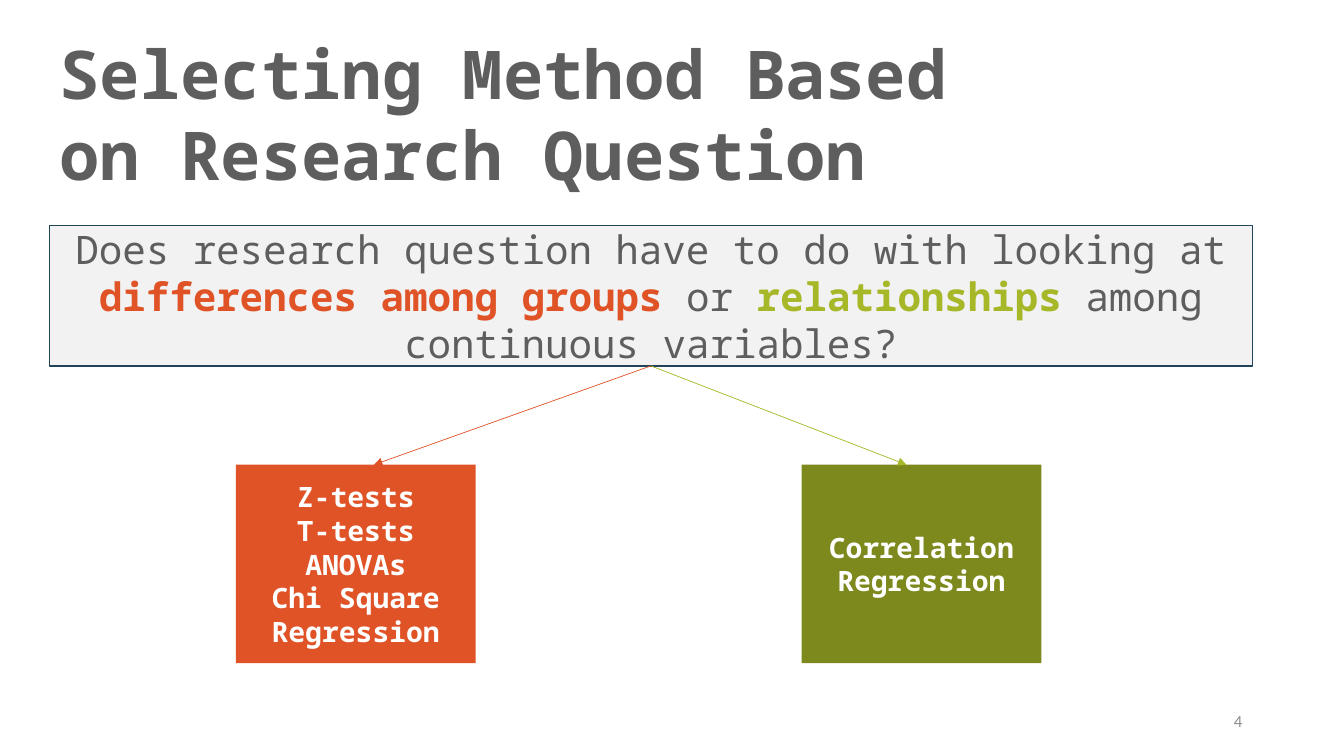
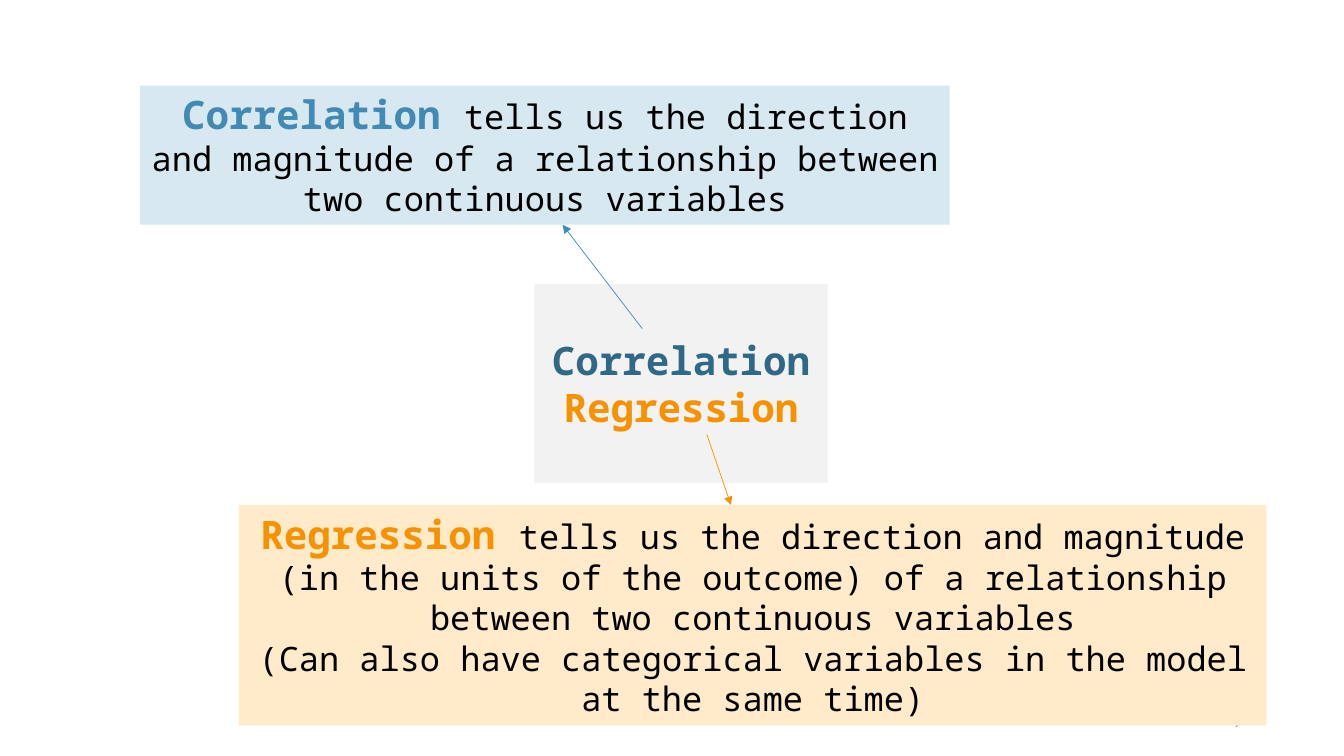
from dataclasses import dataclass
from lxml.etree import SubElement
from pptx import Presentation
from pptx.dml.color import RGBColor as Rgb
from pptx.enum.shapes import MSO_CONNECTOR as Line, MSO_SHAPE as Shape
from pptx.enum.text import MSO_ANCHOR as Anchor, MSO_AUTO_SIZE as Fit, PP_ALIGN as Align
from pptx.oxml.ns import qn
from pptx.util import Inches, Pt


@dataclass(frozen=True)
class Theme:
    """Colours, fonts and type sizes of the deck."""
    gray: str = "5E5E5E"
    pale: str = "F2F2F2"
    navy: str = "20455A"
    teal: str = "316886"
    blue: str = "418AB3"
    sky: str = "D8E8F1"
    red: str = "DF5327"
    lime: str = "A6B727"
    olive: str = "7D891D"
    gold: str = "F69200"
    cream: str = "FFEACA"
    mute: str = "8C8C8C"
    white: str = "FFFFFF"
    black: str = "000000"
    mono: str = "Noto Sans Mono"
    sans: str = "Calibri"
    head: int = 48
    big: int = 28
    mid: int = 24
    small: int = 20
    note: int = 12


T = Theme()
WIDE, HIGH = Inches(13.33), Inches(7.5)

# Places are percent of slide width and height: left, top, width, height.
TITLE = "Selecting Method Based on Research Question"
TITLE_AT = (3.68, 3.6, 72.62, 22.93)
PAGE_AT = (70.67, 92.67, 22.5, 5.33)

# A run is text, size, colour, bold; a paragraph is a list of runs.
ASK_AT = (3.68, 29.87, 89.5, 18.53)
ASK = [[
    ("Does research question have to do with looking at ", T.big, T.gray, False),
    ("differences among groups ", T.big, T.red, True),
    ("or ", T.big, T.gray, False),
    ("relationships ", T.big, T.lime, True),
    ("among continuous variables?", T.big, T.gray, False),
]]
TEST_TOP, TEST_WIDE, TEST_HIGH = 61.47, 17.85, 26.27
# Left edge, fill, arrow colour, arrow tip, lines
TESTS = [
    (17.55, T.red, T.red, 27.83,
     ["Z-tests", "T-tests", "ANOVAs", "Chi Square", "Regression"]),
    (59.64, T.olive, T.lime, 67.44, ["Correlation", "Regression"]),
]

CORE_AT = (39.76, 37.6, 21.83, TEST_HIGH)
CORE = [[("Correlation", T.big, T.teal, True)],
        [("Regression", T.big, T.gold, True)]]
# Place, fill, accent, arrow start, arrow tip, term, paragraphs
TERMS = [
    ((10.43, 11.33, 60.24, 18.4), T.sky, T.blue, (47.79, 43.47), (41.86, 29.73),
     "Correlation ",
     ["tells us the direction and magnitude of a relationship between two "
      "continuous variables"]),
    ((17.78, 66.8, 76.44, 29.2), T.cream, T.gold, (52.59, 57.47), (54.39, 66.8),
     "Regression ",
     ["tells us the direction and magnitude (in the units of the outcome) of a "
      "relationship between two continuous variables",
      "(Can also have categorical variables in the model at the same time)"]),
]


def scale(*parts):
    """Turn alternating x and y percents into slide lengths."""
    return [round((HIGH if i % 2 else WIDE) * part / 100)
            for i, part in enumerate(parts)]


def style(font, size, color, bold=False, name=T.mono):
    """Set the look of one font."""
    font.name, font.size, font.bold = name, Pt(size), bold
    font.color.rgb = Rgb.from_string(color)


def write(frame, paras, anchor=Anchor.MIDDLE):
    """Fill a text frame with centred paragraphs of styled runs."""
    frame.word_wrap = True
    frame.vertical_anchor = anchor
    for i, runs in enumerate(paras):
        para = frame.paragraphs[0] if i == 0 else frame.add_paragraph()
        para.alignment = Align.CENTER
        same = len({run[1:] for run in runs}) == 1
        if same:
            style(para.font, *runs[0][1:])
        for text, *look in runs:
            run = para.add_run()
            run.text = text
            if not same:
                style(run.font, *look)


def add_box(slide, place, fill, paras, edge=None, anchor=Anchor.MIDDLE):
    """Add a filled box with text and an optional outline."""
    box = slide.shapes.add_shape(Shape.RECTANGLE, *scale(*place))
    box.shadow.inherit = False
    box.fill.solid()
    box.fill.fore_color.rgb = Rgb.from_string(fill)
    if edge:
        box.line.color.rgb = Rgb.from_string(edge)
        box.line.width = Pt(1)
    else:
        box.line.fill.background()
    write(box.text_frame, paras, anchor)


def add_arrow(slide, start, tip, color):
    """Add a thin arrow from start to tip."""
    arrow = slide.shapes.add_connector(Line.STRAIGHT, *scale(*start, *tip))
    arrow.line.color.rgb = Rgb.from_string(color)
    arrow.line.width = Pt(0.5)
    SubElement(arrow.line._get_or_add_ln(), qn("a:tailEnd"), type="triangle")
    SubElement(arrow._element.spPr, qn("a:effectLst"))


def add_title(slide, text):
    """Place and format the title placeholder."""
    title = slide.shapes.title
    title.left, title.top, title.width, title.height = scale(*TITLE_AT)
    frame = title.text_frame
    frame.text = text
    frame.word_wrap, frame.auto_size = True, Fit.NONE
    frame.vertical_anchor = Anchor.TOP
    para = frame.paragraphs[0]
    para.alignment = Align.LEFT
    style(para.font, T.head, T.gray, True)


def add_page(slide, number):
    """Add the page number at the lower right."""
    frame = slide.shapes.add_textbox(*scale(*PAGE_AT)).text_frame
    frame.word_wrap = True
    frame.vertical_anchor = Anchor.MIDDLE
    para = frame.paragraphs[0]
    para.text, para.alignment = str(number), Align.RIGHT
    style(para.font, T.note, T.mute, name=T.sans)


def build_choice(deck):
    """Build the slide on choosing a method."""
    slide = deck.slides.add_slide(deck.slide_layouts[5])
    add_page(slide, 4)
    add_title(slide, TITLE)
    add_box(slide, ASK_AT, T.pale, ASK, T.navy)
    left, top, wide, high = ASK_AT
    fork = (left + wide / 2, top + high)
    for left, fill, color, tip, names in TESTS:
        paras = [[(name, T.small, T.white, True)] for name in names]
        add_box(slide, (left, TEST_TOP, TEST_WIDE, TEST_HIGH), fill, paras)
        add_arrow(slide, fork, (tip, TEST_TOP), color)


def build_terms(deck):
    """Build the slide that explains both terms."""
    slide = deck.slides.add_slide(deck.slide_layouts[6])
    add_box(slide, CORE_AT, T.pale, CORE)
    add_page(slide, 7)
    for place, fill, color, start, tip, term, texts in TERMS:
        paras = [[(text, T.mid, T.black, False)] for text in texts]
        paras[0].insert(0, (term, T.big, color, True))
        add_arrow(slide, start, tip, color)
        add_box(slide, place, fill, paras, anchor=Anchor.TOP)


deck = Presentation()
deck.slide_width, deck.slide_height = WIDE, HIGH
build_choice(deck)
build_terms(deck)
deck.save("out.pptx")
